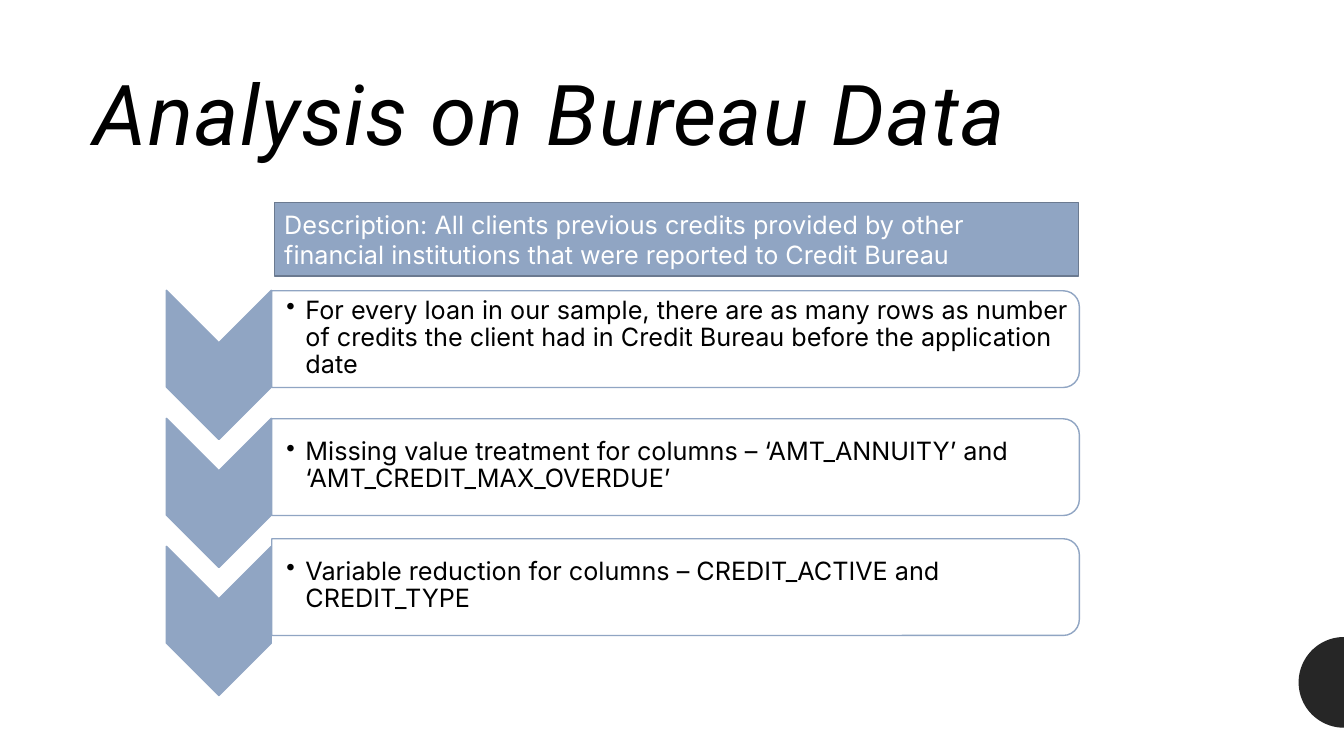
"""Build the bureau data analysis slide."""
import math
import pptx
import pptx.util
import pptx.dml.color
import pptx.enum.shapes
import pptx.enum.text
from lxml import etree

TITLE = "Analysis on Bureau Data"
ABOUT = ("Description: All clients previous credits provided by other "
         "financial institutions that were reported to Credit Bureau")
STEPS = [
    ("For every loan in our sample, there are as many rows as number of "
     "credits the client had in Credit Bureau before the application date", 336),
    ("Missing value treatment for columns – ‘AMT_ANNUITY’ and "
     "‘AMT_CREDIT_MAX_OVERDUE’", 463),
    ("Variable reduction for columns – CREDIT_ACTIVE and CREDIT_TYPE", 582),
]
COLORS = {"blue": "90A5C3", "edge": "6B7A90", "dark": "262626",
          "white": "FFFFFF", "black": "000000"}
PX = 9144
WIDE, HIGH = 1333, 750
ARROW = {"mid": 217, "top": 362, "step": 127, "long": 148, "wide": 104}
BAR = {"mid": 670, "long": 801, "wide": 96}
DISC = {"mid": 677, "radius": 45, "parts": 48}
KIND = pptx.enum.shapes.MSO_SHAPE


def color(name):
    return pptx.dml.color.RGBColor.from_string(COLORS[name])


def paint(shape, fill, line=None):
    shape.shadow.inherit = False
    shape.fill.solid()
    shape.fill.fore_color.rgb = color(fill)
    if line:
        shape.line.color.rgb = color(line)
        shape.line.width = pptx.util.Pt(1)
    else:
        shape.line.fill.background()


def write(shape, text, size=18, font="Inter", ink="black", italic=False,
          space=None, inset=(10, 5, 10, 5), lead=None, bullet=False):
    frame = shape.text_frame
    frame.word_wrap = True
    frame.auto_size = pptx.enum.text.MSO_AUTO_SIZE.NONE
    frame.vertical_anchor = pptx.enum.text.MSO_ANCHOR.MIDDLE
    (frame.margin_left, frame.margin_top,
     frame.margin_right, frame.margin_bottom) = [n * PX for n in inset]
    para = frame.paragraphs[0]
    para.alignment = pptx.enum.text.PP_ALIGN.LEFT
    if lead:
        para.line_spacing = lead
    run = para.add_run()
    run.text = text
    run.font.size = pptx.util.Pt(size)
    run.font.name = font
    run.font.italic = italic
    run.font.color.rgb = color(ink)
    if space:
        run.font._element.set("spc", str(space))
    if bullet:
        props = para._p.get_or_add_pPr()
        props.set("marL", str(19 * PX))
        props.set("indent", str(-19 * PX))
        mark = etree.SubElement(props, pptx.oxml.ns.qn("a:buChar"))
        mark.set("char", "•")


def turned(slide, kind, mid, level, long, wide):
    shape = slide.shapes.add_shape(
        kind, (mid - long // 2) * PX, (level - wide // 2) * PX,
        long * PX, wide * PX)
    shape.rotation = 90
    return shape


def add_disc(slide):
    points = []
    for part in range(DISC["parts"] + 1):
        angle = math.pi * (0.5 + part / DISC["parts"])
        points.append((round((WIDE + DISC["radius"] * math.cos(angle)) * PX),
                       round((DISC["mid"] + DISC["radius"] * math.sin(angle)) * PX)))
    path = slide.shapes.build_freeform(*points[0])
    path.add_line_segments(points[1:], close=True)
    paint(path.convert_to_shape(), "dark")


def add_step(slide, index, text, level):
    arrow = turned(slide, KIND.CHEVRON, ARROW["mid"],
                   ARROW["top"] + index * ARROW["step"],
                   ARROW["long"], ARROW["wide"])
    paint(arrow, "blue", "blue")
    bar = turned(slide, KIND.ROUND_2_SAME_RECTANGLE, BAR["mid"], level,
                 BAR["wide"], BAR["long"])
    paint(bar, "white", "blue")
    tint = bar._element.spPr.find(".//" + pptx.oxml.ns.qn("a:srgbClr"))
    etree.SubElement(tint, pptx.oxml.ns.qn("a:alpha")).set("val", "90000")
    box = slide.shapes.add_textbox(270 * PX, (level - 44) * PX, 797 * PX, 87 * PX)
    write(box, text, inset=(14, 1, 1, 1), lead=0.9, bullet=True)


def main():
    deck = pptx.Presentation()
    deck.slide_width, deck.slide_height = WIDE * PX, HIGH * PX
    slide = deck.slides.add_slide(deck.slide_layouts[5])
    add_disc(slide)
    title = slide.shapes.title
    title.left, title.top, title.width, title.height = [
        n * PX for n in (83, 32, 1167, 170)]
    write(title, TITLE, size=60, font="Roboto", italic=True, space=100, lead=0.9)
    for index, (text, level) in enumerate(STEPS):
        add_step(slide, index, text, level)
    about = slide.shapes.add_shape(
        KIND.RECTANGLE, 272 * PX, 201 * PX, 798 * PX, 73 * PX)
    paint(about, "blue", "edge")
    write(about, ABOUT, ink="white")
    deck.save("out.pptx")


if __name__ == "__main__":
    main()
